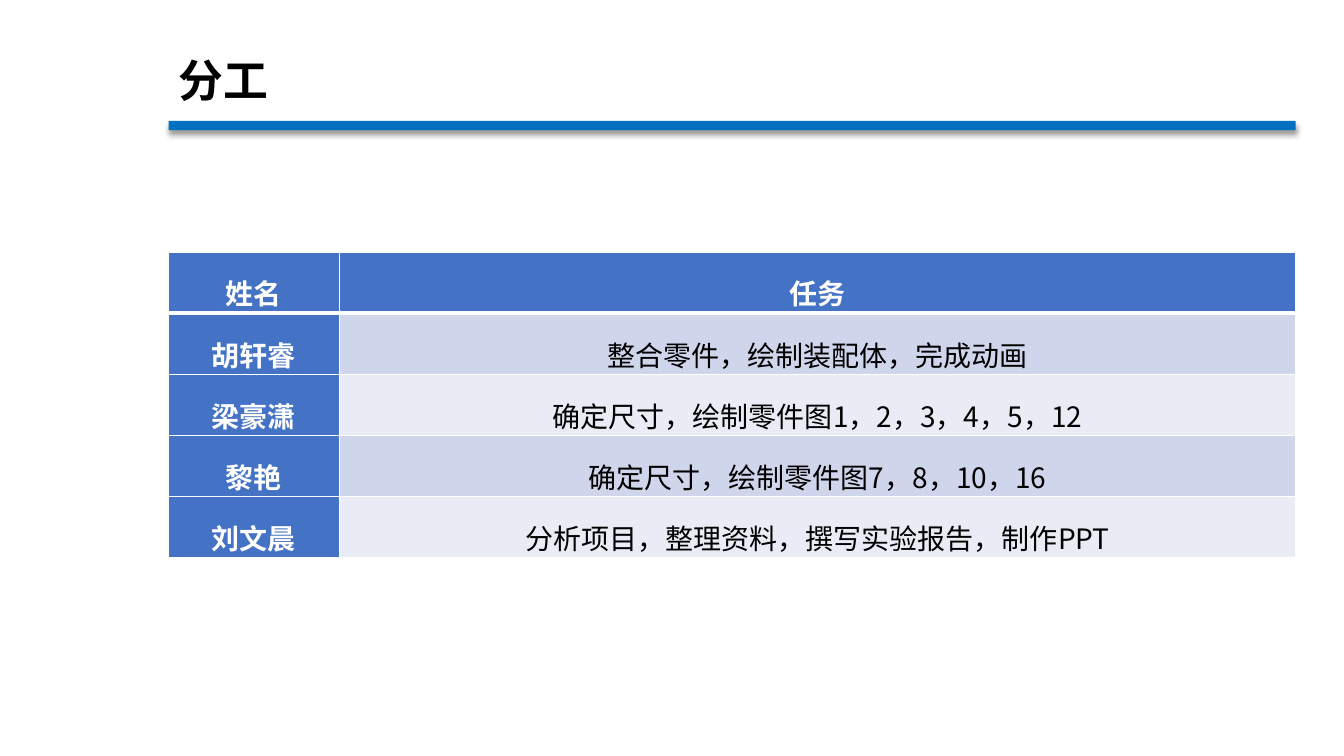
from lxml import etree
from pptx import Presentation
from pptx import util as u
from pptx.dml.color import RGBColor
from pptx.enum import shapes, text
from pptx.oxml.ns import qn

BLACK = RGBColor(0x00, 0x00, 0x00)
WHITE = RGBColor(0xFF, 0xFF, 0xFF)
RULE_BLUE = RGBColor(0x00, 0x70, 0xC0)
HEAD_BLUE = RGBColor(0x44, 0x72, 0xC4)
BANDS = (RGBColor(0xCF, 0xD5, 0xEA), RGBColor(0xE9, 0xEB, 0xF5))

FONT = "Noto Sans CJK SC"
LEFT, WIDTH = 4.25, 28.4
NAME_WIDTH, ROW_HEIGHT = 4.3, 1.54

DUTIES = (
    ("姓名", "任务"),
    ("胡轩睿", "整合零件，绘制装配体，完成动画"),
    ("梁豪潇", "确定尺寸，绘制零件图1，2，3，4，5，12"),
    ("黎艳", "确定尺寸，绘制零件图7，8，10，16"),
    ("刘文晨", "分析项目，整理资料，撰写实验报告，制作PPT"),
)


def apply(target, formats):
    for key, value in formats.items():
        setattr(target, key, value)


def write(frame, words, color, paragraph_format, font_format):
    paragraph = frame.paragraphs[0]
    apply(paragraph, paragraph_format)
    run = paragraph.add_run()
    run.text = words
    apply(run.font, {"name": FONT, **font_format})
    run.font.color.rgb = color
    east_asian = etree.SubElement(run.font._element, qn("a:ea"))
    east_asian.set("typeface", FONT)


def add_heading(slide, left, top, width, height):
    heading = slide.shapes.add_textbox(
        u.Cm(left), u.Cm(top), u.Cm(width), u.Cm(height))
    frame = heading.text_frame
    apply(frame, {"word_wrap": True,
                  "vertical_anchor": text.MSO_ANCHOR.MIDDLE})
    write(frame, "分工", BLACK, {"line_spacing": 0.9},
          {"size": u.Pt(32), "bold": True})


def add_rule(slide, left, top, width, height):
    rule = slide.shapes.add_shape(
        shapes.MSO_SHAPE.RECTANGLE,
        u.Cm(left), u.Cm(top), u.Cm(width), u.Cm(height))
    rule.fill.solid()
    rule.fill.fore_color.rgb = RULE_BLUE
    rule.line.fill.background()
    rule.shadow.inherit = False
    effects = rule._element.spPr.find(qn("a:effectLst"))
    shade = etree.SubElement(
        effects, qn("a:outerShdw"), blurRad=str(u.Pt(4)), dist=str(u.Pt(3)),
        dir="5400000", algn="t", rotWithShape="0")
    tint = etree.SubElement(shade, qn("a:srgbClr"), val=str(BLACK))
    etree.SubElement(tint, qn("a:alpha"), val="40000")


def add_borders(cell, widths):
    properties = cell._tc.get_or_add_tcPr()
    for side, points in widths.items():
        border = etree.SubElement(
            properties, qn("a:ln" + side), w=str(u.Pt(points)))
        fill = etree.SubElement(border, qn("a:solidFill"))
        etree.SubElement(fill, qn("a:srgbClr"), val=str(WHITE))


def add_duties(slide, left, top, width, row_height):
    duties = slide.shapes.add_table(
        len(DUTIES), 2, u.Cm(left), u.Cm(top),
        u.Cm(width), u.Cm(row_height * len(DUTIES))).table
    duties.first_col = True
    for column, size in zip(duties.columns, (NAME_WIDTH, width - NAME_WIDTH)):
        column.width = u.Cm(size)
    for r, entries in enumerate(DUTIES):
        for c, words in enumerate(entries):
            is_head = r == 0 or c == 0
            cell = duties.cell(r, c)
            apply(cell, {"margin_left": u.Cm(0.19), "margin_right": u.Cm(0.19),
                         "margin_top": 0, "margin_bottom": 0})
            add_borders(cell, {"L": 1, "R": 1, "T": 3 if r == 1 else 1,
                               "B": 3 if r == 0 else 1})
            cell.fill.solid()
            cell.fill.fore_color.rgb = HEAD_BLUE if is_head else BANDS[(r - 1) % 2]
            write(cell.text_frame, words, WHITE if is_head else BLACK,
                  {"alignment": text.PP_ALIGN.CENTER, "line_spacing": 1.5},
                  {"size": u.Pt(20), "bold": is_head})


def main():
    deck = Presentation()
    apply(deck, {"slide_width": u.Cm(33.87), "slide_height": u.Cm(19.05)})
    slide = deck.slides.add_slide(deck.slide_layouts[6])
    add_heading(slide, LEFT, 0.89, 21.95, 2.39)
    add_rule(slide, LEFT, 3.05, WIDTH, 0.23)
    add_duties(slide, LEFT, 6.35, WIDTH, ROW_HEIGHT)
    deck.save("out.pptx")


if __name__ == "__main__":
    main()
